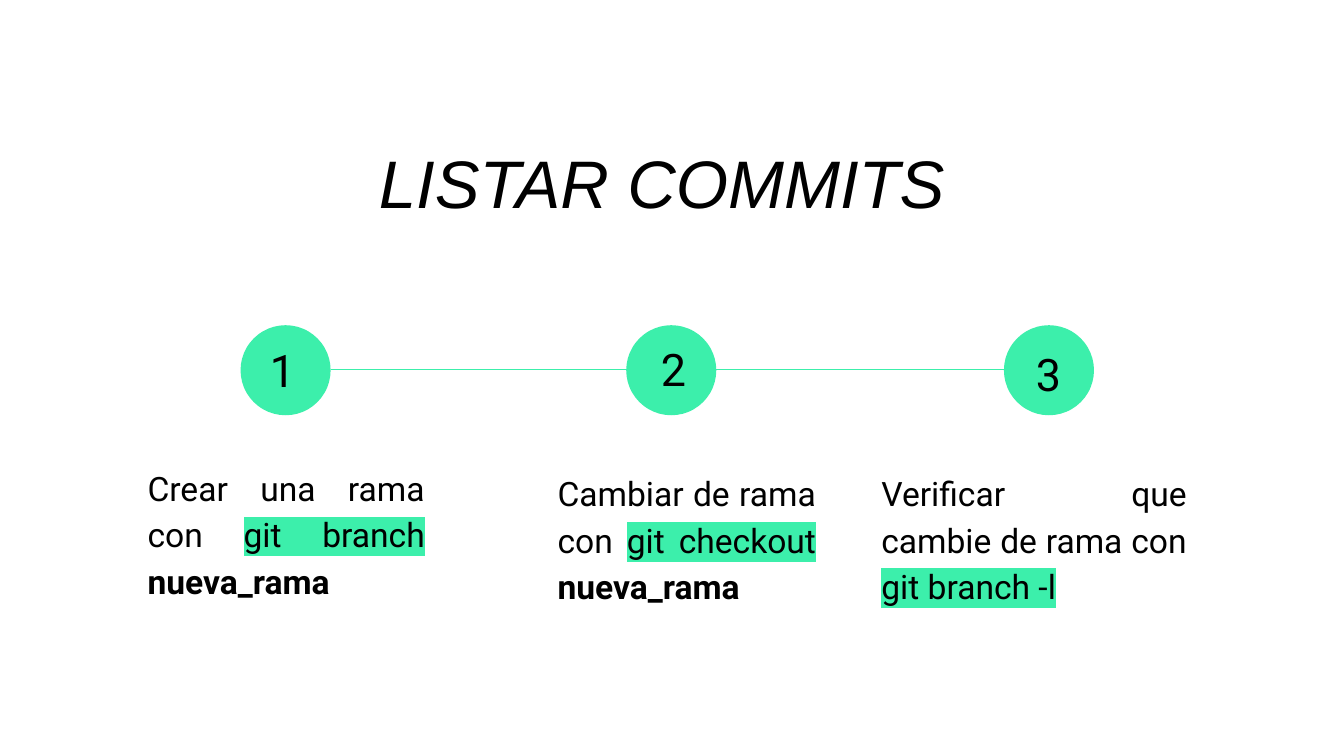
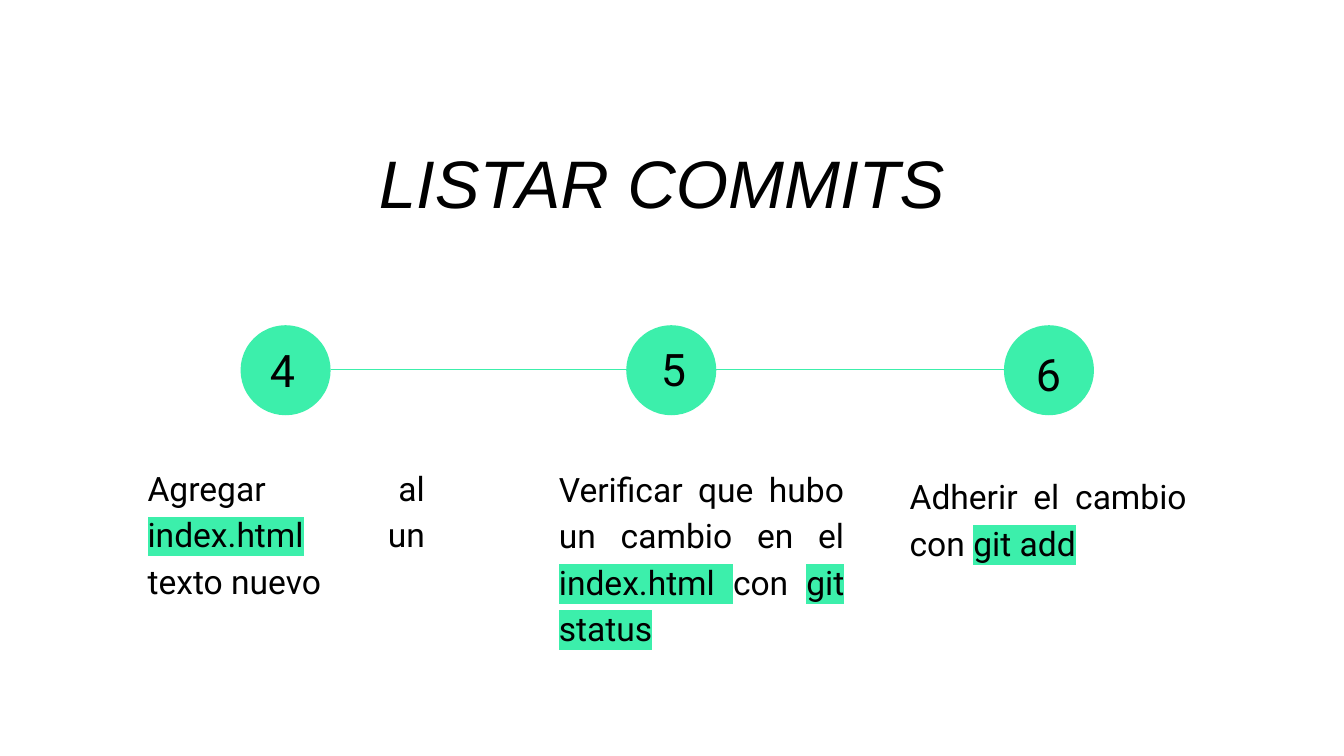
from lxml import etree
from pptx import Presentation
from pptx.dml.color import RGBColor as Rgb
from pptx.enum.shapes import MSO_CONNECTOR as Link, MSO_SHAPE as Shape
from pptx.enum.text import MSO_ANCHOR as Anchor, PP_ALIGN as Align
from pptx.oxml.ns import qn
from pptx.util import Inches, Pt

MINT = Rgb(0x3C, 0xEF, 0xAB)
BLACK = Rgb(0, 0, 0)
WHITE = Rgb(255, 255, 255)
TITLE = "LISTAR COMMITS "
TITLE_BOX = (1.43, 0.95, 7.13, 1.08)
TRACK_BOX = (1.79, 2.42, 6.35, 0.67)
DIAL = 0.67
STOPS = (0, 2.87, 5.68)
DIGITS = ((0.12, 0.03, 0.4), (0.16, 0.02, 0.4), (0.14, 0.06, 0.34))

STEPS = [
    (1, [
        ((1, 3.37, 2.26, 1.17), 0,
         [("Crear una rama con ", ""), ("git branch", "mark"),
          (" ", ""), ("nueva_rama", "bold")]),
        ((3.55, 3.41, 2.62, 1.17), 0.5,
         [("Cambiar de rama con ", ""), ("git checkout", "mark"),
          (" ", ""), ("nueva_rama", "bold")]),
        ((6.46, 3.41, 2.47, 1.17), 0,
         [("Verificar que cambie de rama con ", ""),
          ("git branch -l", "mark")]),
    ]),
    (4, [
        ((1, 3.37, 2.26, 1.17), 0,
         [("Agregar al ", ""), ("index.html", "mark"),
          (" un texto nuevo", "")]),
        ((3.56, 3.55, 2.82, 1.17), 0.5,
         [("Verificar que hubo un cambio en el ", ""),
          ("index.html ", "mark"), ("con ", ""), ("git status", "mark")]),
        ((6.67, 3.26, 2.26, 1.17), 0,
         [("Adherir el cambio con ", ""), ("git add", "mark")]),
    ]),
]


def shade(run):
    mark = etree.Element(qn("a:highlight"))
    etree.SubElement(mark, qn("a:srgbClr"), val=str(MINT))
    run.font._element.find(qn("a:latin")).addprevious(mark)


def write(slide, box, runs, size=18, font="Roboto", italic=None,
          align=Align.LEFT, anchor=Anchor.TOP, space=None, indent=0):
    frame = slide.shapes.add_textbox(*map(Inches, box)).text_frame
    frame.word_wrap = True
    frame.vertical_anchor = anchor
    frame.margin_left = frame.margin_right = Inches(0.1)
    frame.margin_top = frame.margin_bottom = Inches(0.1)
    para = frame.paragraphs[0]
    para.alignment = align
    if space:
        para.line_spacing = space
    if indent:
        props = para._p.get_or_add_pPr()
        props.set("marL", str(Inches(indent)))
        props.set("indent", "0")
    for text, look in runs:
        run = para.add_run()
        run.text = text
        run.font.size = Pt(size)
        run.font.name = font
        run.font.italic = italic
        run.font.color.rgb = BLACK
        if look == "bold":
            run.font.bold = True
        if look == "mark":
            shade(run)


def draw_track(slide, box, first):
    left, top, width, height = box
    mid = Inches(top + 0.33)
    line = slide.shapes.add_connector(
        Link.STRAIGHT, Inches(left + DIAL), mid,
        Inches(left + width - DIAL), mid)
    line.line.color.rgb = MINT
    line.line.width = Pt(0.75)
    etree.SubElement(line._element.spPr, qn("a:effectLst"))
    for stop in STOPS:
        dial = slide.shapes.add_shape(
            Shape.OVAL, Inches(left + stop), Inches(top),
            Inches(DIAL), Inches(height))
        dial.shadow.inherit = False
        dial.fill.solid()
        dial.fill.fore_color.rgb = MINT
        dial.line.fill.background()
    for num, (stop, (dx, dy, tall)) in enumerate(zip(STOPS, DIGITS), first):
        write(slide, (left + stop + dx, top + dy, 0.3, tall),
              [(str(num), "")], size=24)


def draw_notes(slide, notes):
    for box, indent, runs in notes:
        write(slide, box, runs, align=Align.JUSTIFY, anchor=Anchor.MIDDLE,
              space=1.15, indent=indent)


def draw_slide(deck, first, notes):
    slide = deck.slides.add_slide(deck.slide_layouts[6])
    slide.background.fill.solid()
    slide.background.fill.fore_color.rgb = WHITE
    draw_track(slide, TRACK_BOX, first)
    draw_notes(slide, notes)
    write(slide, TITLE_BOX, [(TITLE, "")], size=36, font="Arial",
          italic=True, align=Align.CENTER)


def main():
    deck = Presentation()
    deck.slide_width = Inches(10)
    deck.slide_height = Inches(10 * 9 / 16)
    for first, notes in STEPS:
        draw_slide(deck, first, notes)
    deck.save("out.pptx")


if __name__ == "__main__":
    main()
